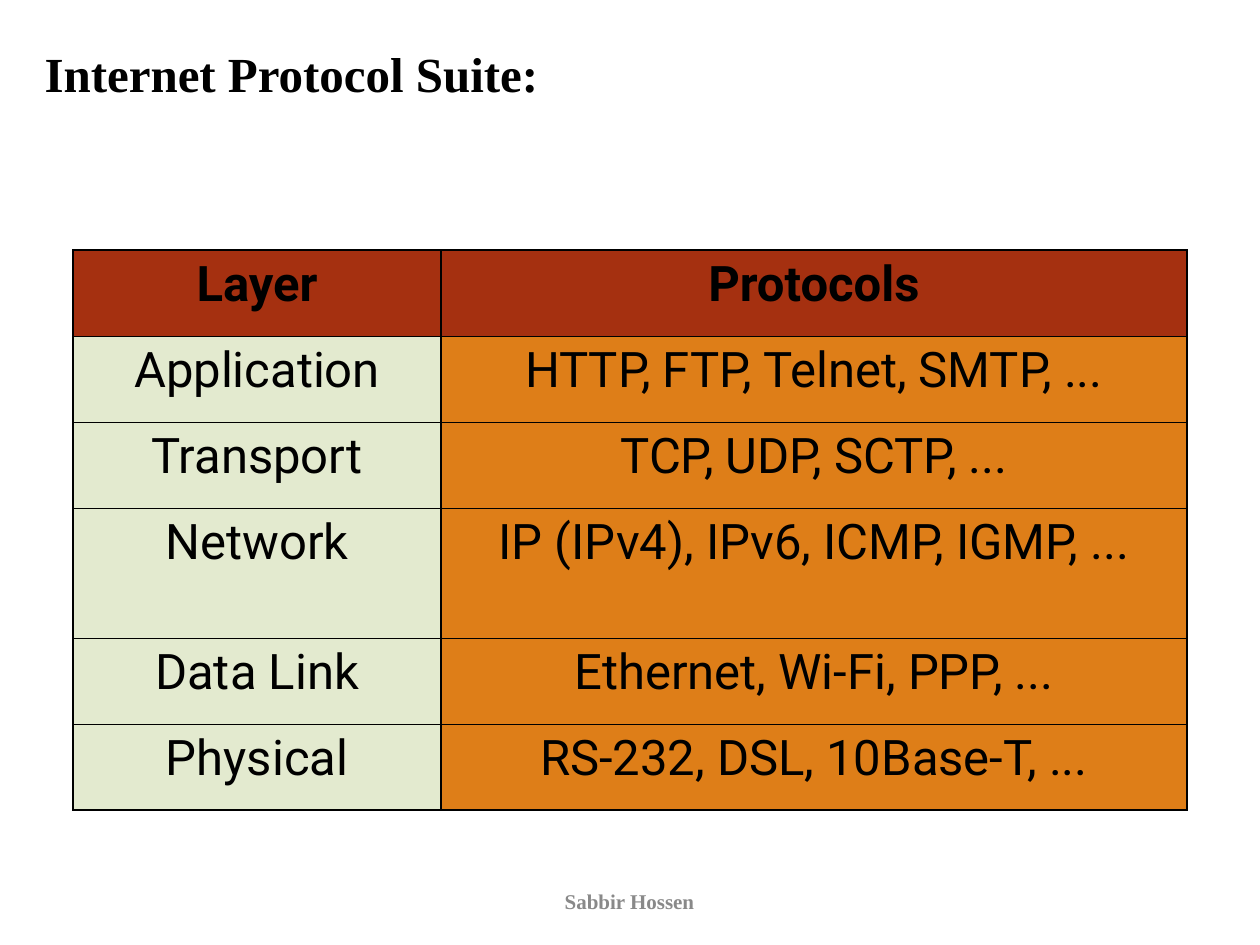
import pptx
import pptx.dml.color
import pptx.enum.text
import pptx.oxml
import pptx.oxml.ns
import pptx.util

SCALE = 914400 / 126
ALIGN = pptx.enum.text.PP_ALIGN
ANCHOR = pptx.enum.text.MSO_ANCHOR
LAYERS = [
    ("Layer", "Protocols"),
    ("Application", "HTTP, FTP, Telnet, SMTP, ..."),
    ("Transport", "TCP, UDP, SCTP, ..."),
    ("Network", "IP (IPv4), IPv6, ICMP, IGMP, ..."),
    ("Data Link", "Ethernet, Wi-Fi, PPP, ..."),
    ("Physical", "RS-232, DSL, 10Base-T, ..."),
]
COLUMN_WIDTHS = [368, 746]
ROW_HEIGHTS = [86, 86, 86, 130, 86, 86]
HEADER_FILL = "A53010"
COLUMN_FILLS = ["E3EACF", "DE7E18"]
THICK, THIN = 1.08, 0.45


def px(length):
    """Turn whole pixels into EMU."""
    return pptx.util.Emu(round(length * SCALE))


def colour(value):
    """Turn a hex string into a colour."""
    return pptx.dml.color.RGBColor.from_string(value)


def write(frame, text, align, ink, **formats):
    """Write one formatted paragraph into a text frame."""
    para = frame.paragraphs[0]
    para.alignment = align
    para.space_before = pptx.util.Pt(0)
    span = para.add_run()
    span.text = text
    for name, value in formats.items():
        setattr(span.font, name, value)
    span.font.color.rgb = colour(ink)


def set_frame(frame, anchor):
    """Give a text frame wrapping, fixed size and an anchor."""
    settings = {
        "word_wrap": True,
        "auto_size": pptx.enum.text.MSO_AUTO_SIZE.NONE,
        "vertical_anchor": anchor,
    }
    for name, value in settings.items():
        setattr(frame, name, value)


def add_title(page, text, bounds):
    """Move and fill the title placeholder."""
    title = page.shapes.title
    for name, value in zip(("left", "top", "width", "height"), bounds):
        setattr(title, name, px(value))
    set_frame(title.text_frame, ANCHOR.TOP)
    write(title.text_frame, text, ALIGN.LEFT, "000000",
          name="Times New Roman", size=pptx.util.Pt(28), bold=True)


def add_footer(page, text, bounds):
    """Add the centred footer text."""
    box = page.shapes.add_textbox(*map(px, bounds))
    set_frame(box.text_frame, ANCHOR.MIDDLE)
    write(box.text_frame, text, ALIGN.CENTER, "898989",
          name="Times New Roman", size=pptx.util.Pt(12), bold=True)


def add_borders(cell, widths):
    """Draw black borders of the given point widths by side."""
    properties = cell._tc.get_or_add_tcPr()
    for side, width in widths.items():
        properties.append(pptx.oxml.parse_xml(
            f'<a:ln{side} {pptx.oxml.ns.nsdecls("a")} w="{pptx.util.Pt(width)}">'
            '<a:solidFill><a:srgbClr val="000000"/></a:solidFill>'
            f'</a:ln{side}>'))


def add_layer_table(page, left, top):
    """Add the table of layers and their protocols."""
    last = len(LAYERS) - 1
    table = page.shapes.add_table(
        len(LAYERS), len(COLUMN_WIDTHS), px(left), px(top),
        px(sum(COLUMN_WIDTHS)), px(sum(ROW_HEIGHTS))).table
    for column, width in zip(table.columns, COLUMN_WIDTHS):
        column.width = px(width)
    for index, (row, texts) in enumerate(zip(table.rows, LAYERS)):
        row.height = px(ROW_HEIGHTS[index])
        header = index == 0
        widths = {"L": THICK, "R": THICK,
                  "T": THICK if header else THIN,
                  "B": THICK if index == last else THIN}
        for cell, text, fill in zip(row.cells, texts, COLUMN_FILLS):
            add_borders(cell, widths)
            cell.fill.solid()
            cell.fill.fore_color.rgb = colour(HEADER_FILL if header else fill)
            write(cell.text_frame, text, ALIGN.CENTER, "000000",
                  name="Roboto", size=pptx.util.Pt(28), bold=header)


def main():
    """Build and save the slide."""
    deck = pptx.Presentation()
    deck.slide_width, deck.slide_height = px(1260), px(945)
    page = deck.slides.add_slide(deck.slide_layouts.get_by_name("Title Only"))
    add_title(page, "Internet Protocol Suite:", (32, 37, 1196, 72))
    add_layer_table(page, 73, 250)
    add_footer(page, "Sabbir Hossen", (417, 876, 425, 50))
    deck.save("out.pptx")


if __name__ == "__main__":
    main()
